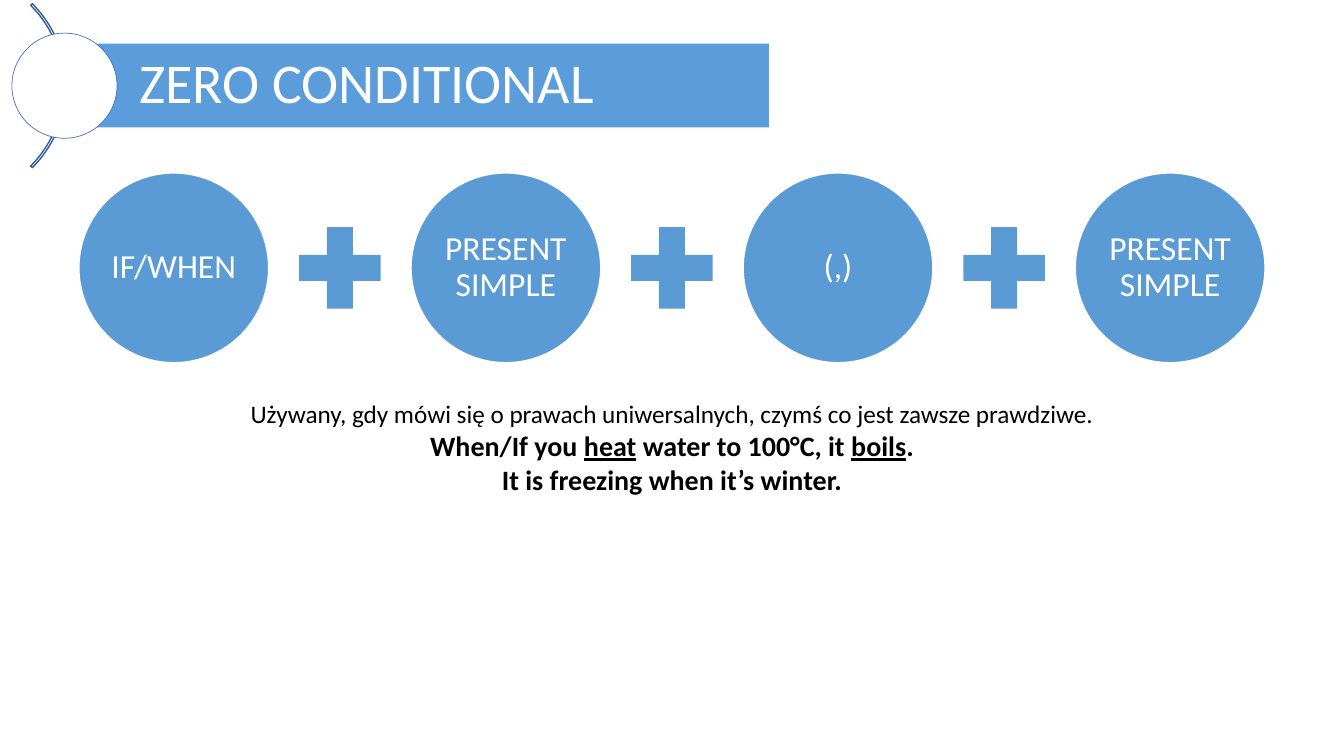
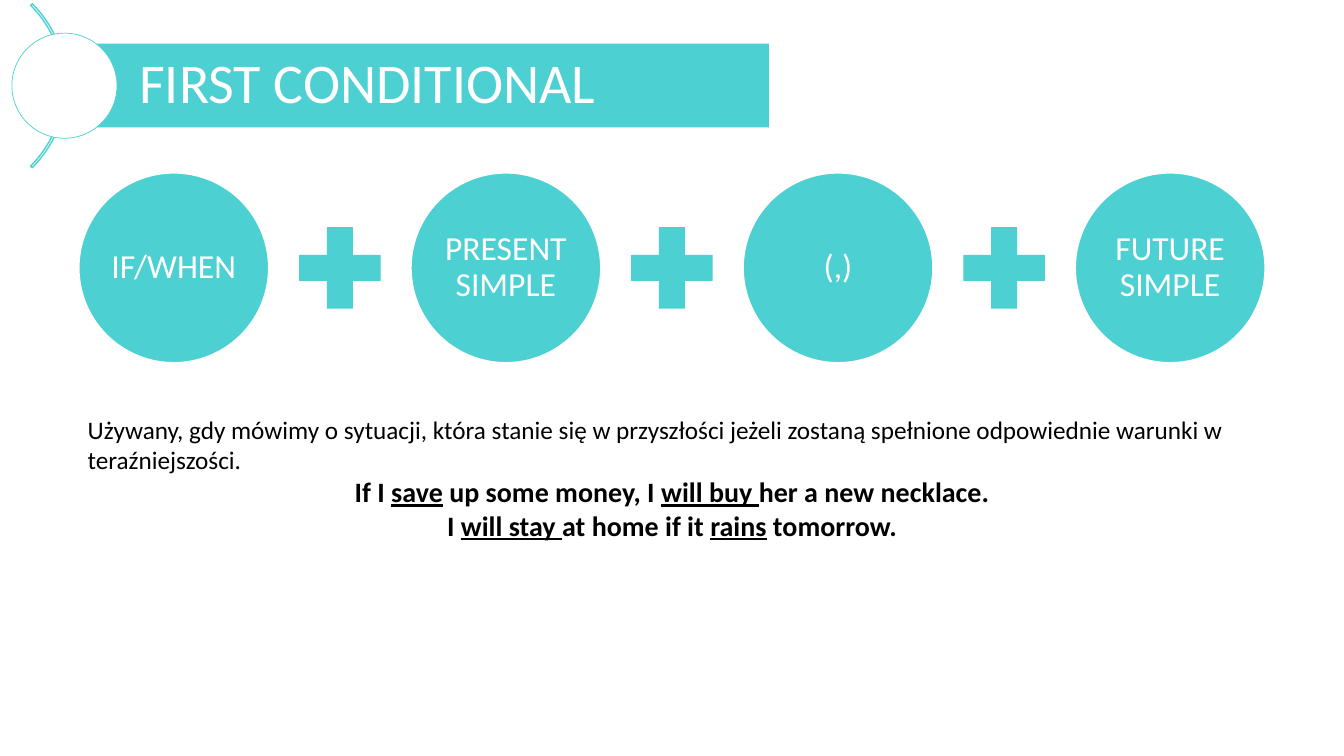
from pptx import Presentation
from pptx.dml.color import RGBColor
from pptx.enum.shapes import MSO_SHAPE
from pptx.enum.text import MSO_ANCHOR, MSO_AUTO_SIZE, PP_ALIGN
from pptx.util import Cm, Pt

FONT = "Calibri"
WHITE = "FFFFFF"
BLACK = "000000"
SLIDE_WIDTH, SLIDE_HEIGHT = 33.87, 19.05

# Lengths are centimetres; underscores enclose underlined words.
CONDITIONALS = [
    {
        "title": "ZERO CONDITIONAL",
        "band": "5B9DDB", "ring": "4472C4", "arc": "365B9D", "formula_color": "5B9BD5",
        "formula": ["IF/WHEN", "PRESENT SIMPLE", "(,)", "PRESENT SIMPLE"],
        "usage": "Używany, gdy mówi się o prawach uniwersalnych, czymś co jest zawsze prawdziwe.",
        "usage_align": PP_ALIGN.CENTER,
        "examples": ["When/If you _heat_ water to 100°C, it _boils_.",
                     "It is freezing when it’s winter."],
        "notes_top": 9.91, "notes_size": (29.39, 2.74),
    },
    {
        "title": "FIRST CONDITIONAL",
        "band": "4CD0D1", "ring": "4CD0D1", "arc": "4CD0D1", "formula_color": "4CD0D1",
        "formula": ["IF/WHEN", "PRESENT SIMPLE", "(,)", "FUTURE SIMPLE"],
        "usage": "Używany, gdy mówimy o sytuacji, która stanie się w przyszłości jeżeli "
                 "zostaną spełnione odpowiednie warunki w teraźniejszości.",
        "usage_align": PP_ALIGN.LEFT,
        "examples": ["If I _save_ up some money, I _will buy _her a new necklace.",
                     "I _will stay _at home if it _rains_ tomorrow."],
        "notes_top": 10.31, "notes_size": (29.95, 3.51),
    },
]

BAND = (1.78, 1.1, 17.6, 2.11)
HEADER_CENTER_Y = 2.16
RING_LEFT, RING_SIZE = 0.3, 2.65
ARC_LEFT, ARC_SIZE = -4.17, 5.84
CIRCLE_LEFT, CIRCLE_SIZE, CIRCLE_STEP = 1.98, 4.8, 8.37
FORMULA_CENTER_Y = 6.75
PLUS_SIZE = 2.79


def color(value):
    return RGBColor.from_string(value)


def add_shape(slide, kind, left, center_y, size, fill=None, line=None, line_width=1):
    """Add a square-framed preset shape centred on a horizontal axis."""
    shape = slide.shapes.add_shape(
        kind, Cm(left), Cm(center_y - size / 2), Cm(size), Cm(size))
    shape.shadow.inherit = False
    if fill:
        shape.fill.solid()
        shape.fill.fore_color.rgb = color(fill)
    else:
        shape.fill.background()
    if line:
        shape.line.color.rgb = color(line)
        shape.line.width = Pt(line_width)
    else:
        shape.line.fill.background()
    return shape


def write(paragraph, text, size, text_color=WHITE, bold=False,
          align=PP_ALIGN.CENTER, line_spacing=None):
    """Fill a paragraph, underlining the parts between underscores."""
    paragraph.alignment = align
    paragraph.line_spacing = line_spacing
    for index, part in enumerate(text.split("_")):
        run = paragraph.add_run()
        run.text = part
        run.font.name = FONT
        run.font.size = Pt(size)
        run.font.bold = bold
        run.font.underline = index % 2 == 1
        run.font.color.rgb = color(text_color)


def set_frame(frame, left, other):
    frame.word_wrap = True
    frame.auto_size = MSO_AUTO_SIZE.NONE
    frame.vertical_anchor = MSO_ANCHOR.MIDDLE
    frame.margin_left = Cm(left)
    frame.margin_top = frame.margin_right = frame.margin_bottom = Cm(other)


def add_header(slide, content):
    title = slide.shapes.title
    title.left, title.top, title.width, title.height = map(Cm, BAND)
    title.fill.solid()
    title.fill.fore_color.rgb = color(content["band"])
    set_frame(title.text_frame, 1.73, 0.28)
    write(title.text_frame.paragraphs[0], content["title"], 40,
          align=PP_ALIGN.LEFT, line_spacing=0.9)
    arc = add_shape(slide, MSO_SHAPE.BLOCK_ARC, ARC_LEFT, HEADER_CENTER_Y, ARC_SIZE,
                    line=content["arc"])
    for index, value in enumerate((189, 27, 0.01)):
        arc.adjustments[index] = value
    add_shape(slide, MSO_SHAPE.OVAL, RING_LEFT, HEADER_CENTER_Y, RING_SIZE,
              fill=WHITE, line=content["ring"], line_width=0.5)


def add_formula(slide, content):
    fill = content["formula_color"]
    plus_offset = (CIRCLE_STEP + CIRCLE_SIZE - PLUS_SIZE) / 2
    for index, term in enumerate(content["formula"]):
        left = CIRCLE_LEFT + index * CIRCLE_STEP
        circle = add_shape(slide, MSO_SHAPE.OVAL, left, FORMULA_CENTER_Y, CIRCLE_SIZE,
                           fill=fill, line=WHITE, line_width=1.5)
        set_frame(circle.text_frame, 0.08, 0.08)
        write(circle.text_frame.paragraphs[0], term, 24, line_spacing=0.9)
        if index < len(content["formula"]) - 1:
            add_shape(slide, MSO_SHAPE.MATH_PLUS, left + plus_offset,
                      FORMULA_CENTER_Y, PLUS_SIZE, fill=fill)


def add_notes(slide, content):
    """Add the usage rule and its example sentences."""
    width, height = content["notes_size"]
    box = slide.shapes.add_textbox(Cm((SLIDE_WIDTH - width) / 2), Cm(content["notes_top"]),
                                   Cm(width), Cm(height))
    frame = box.text_frame
    frame.word_wrap = True
    frame.auto_size = MSO_AUTO_SIZE.SHAPE_TO_FIT_TEXT
    write(frame.paragraphs[0], content["usage"], 18, text_color=BLACK,
          align=content["usage_align"])
    for example in content["examples"]:
        write(frame.add_paragraph(), example, 20, text_color=BLACK, bold=True)


def main():
    presentation = Presentation()
    presentation.slide_width = Cm(SLIDE_WIDTH)
    presentation.slide_height = Cm(SLIDE_HEIGHT)
    title_only = presentation.slide_layouts[5]
    for content in CONDITIONALS:
        slide = presentation.slides.add_slide(title_only)
        add_header(slide, content)
        add_formula(slide, content)
        add_notes(slide, content)
    presentation.save("out.pptx")


if __name__ == "__main__":
    main()
